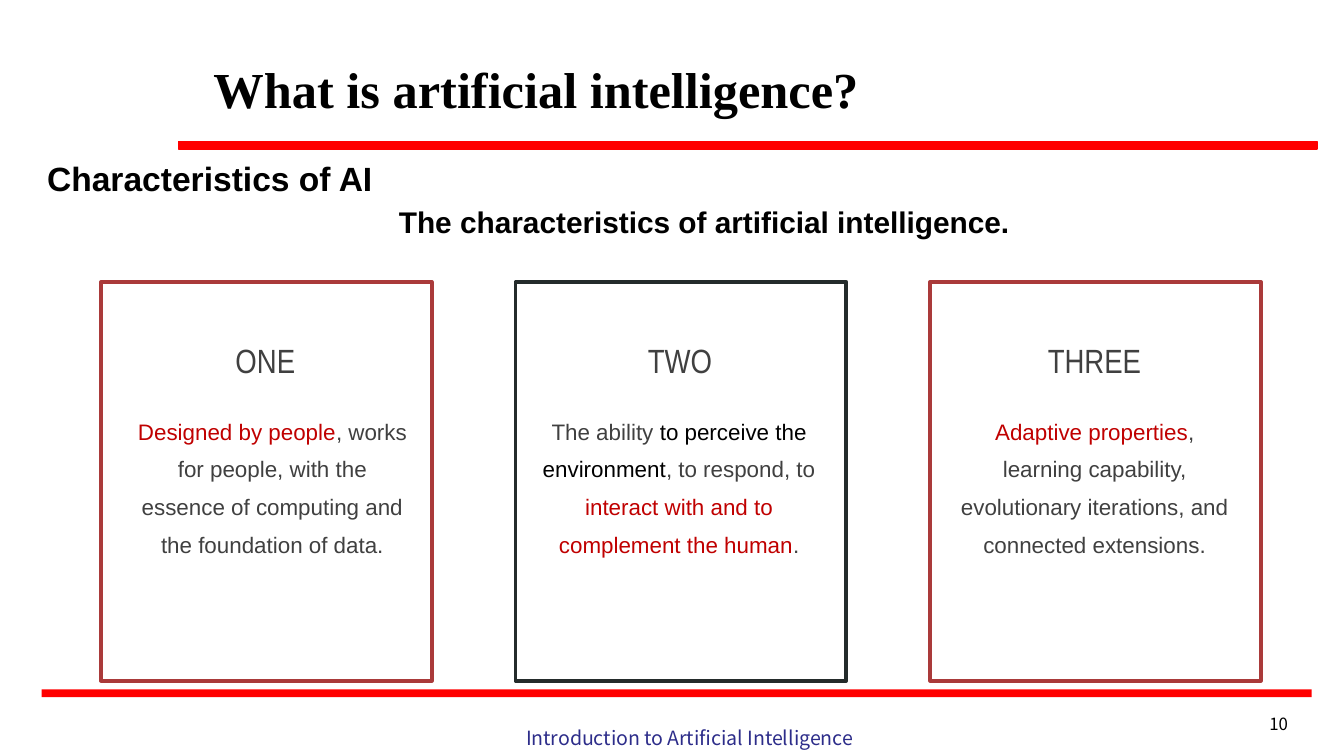
import pptx
import pptx.dml.color
import pptx.enum.shapes
import pptx.enum.text
import pptx.util

Cm = pptx.util.Cm
Align = pptx.enum.text.PP_ALIGN

RED, CRIMSON, BRICK = "FF0000", "C00000", "AA3A3A"
BLACK, CHARCOAL, GREY, NAVY, WHITE = "000000", "242B2B", "404040", "2D2D8A", "FFFFFF"

# Border colour, heading, body shift from card edge, coloured body parts
CARDS = [
    (BRICK, "ONE", 0.41, [
        ("Designed by people", CRIMSON),
        (", works for people, with the essence of computing and "
         "the foundation of data.", GREY)]),
    (CHARCOAL, "TWO", 0.26, [
        ("The ability ", GREY),
        ("to perceive the environment", BLACK),
        (", to respond, to ", GREY),
        ("interact with and to complement the human", CRIMSON),
        (".", GREY)]),
    (BRICK, "THREE", 0.28, [
        ("Adaptive properties", CRIMSON),
        (", learning capability, evolutionary iterations, and "
         "connected extensions.", GREY)]),
]


def color(value):
    return pptx.dml.color.RGBColor.from_string(value)


def place(shape, left, top, width, height):
    shape.left, shape.top = Cm(left), Cm(top)
    shape.width, shape.height = Cm(width), Cm(height)


def style(paragraph, font_name, size, align, bold=False):
    paragraph.alignment = align
    paragraph.font.name = font_name
    paragraph.font.size = pptx.util.Pt(size)
    paragraph.font.bold = bold


def add_rectangle(shapes, box, fill, line=None, line_width=0.75):
    shape = shapes.add_shape(pptx.enum.shapes.MSO_SHAPE.RECTANGLE,
                             *(Cm(length) for length in box))
    shape.shadow.inherit = False
    shape.fill.solid()
    shape.fill.fore_color.rgb = color(fill)
    if line:
        shape.line.color.rgb = color(line)
        shape.line.width = pptx.util.Pt(line_width)
    else:
        shape.line.fill.background()


def add_text(shapes, box, parts, font_name, size, align=Align.LEFT,
             bold=False, line_spacing=None):
    """Add a one-paragraph text box from (text, colour) parts."""
    frame = shapes.add_textbox(*(Cm(length) for length in box)).text_frame
    frame.word_wrap = True
    paragraph = frame.paragraphs[0]
    style(paragraph, font_name, size, align, bold)
    if line_spacing:
        paragraph.line_spacing = line_spacing
    for text, text_color in parts:
        run = paragraph.add_run()
        run.text = text
        run.font.color.rgb = color(text_color)


def fill_title(slide, left, top, width, height):
    title = slide.shapes.title
    place(title, left, top, width, height)
    frame = title.text_frame
    frame.text = "What is artificial intelligence?"
    frame.auto_size = pptx.enum.text.MSO_AUTO_SIZE.NONE
    frame.vertical_anchor = pptx.enum.text.MSO_ANCHOR.MIDDLE
    paragraph = frame.paragraphs[0]
    style(paragraph, "Times New Roman", 27, Align.LEFT, bold=True)
    paragraph.font.color.rgb = color(BLACK)


def add_headings(slide, left, top):
    add_text(slide.shapes, (left, top, 7.06, 1.02),
             [("Characteristics of AI", BLACK)], "Arial", 18, bold=True)
    add_text(slide.shapes, (left + 6.65, top + 0.86, 15.8, 0.94),
             [("The characteristics of artificial intelligence.", BLACK)],
             "Arial", 16, bold=True)


def add_card(slide, left, top, width, height, card):
    border, heading, body_shift, body = card
    shapes = slide.shapes.add_group_shape().shapes
    add_rectangle(shapes, (left, top, width, height), WHITE, border, 2)
    add_text(shapes, (left + 0.92, top + 0.97, width - 1.88, 1.02),
             [(heading, GREY)], "Arial Narrow", 18, Align.CENTER)
    add_text(shapes, (left + body_shift, top + 2.24, 5.66, 3.12),
             body, "Arial", 12, Align.CENTER, line_spacing=1.4)


def add_card_row(slide, left, top, width, height):
    card_width = 6.25
    pitch = (width - card_width) / (len(CARDS) - 1)
    for index, card in enumerate(CARDS):
        add_card(slide, left + index * pitch, top, card_width, height, card)


def add_footer(slide, left, top, width):
    add_rectangle(slide.shapes, (left, top, width, 0.15), RED)
    add_text(slide.shapes, (left + 8.18, top + 0.56, 8.13, 0.99),
             [("Introduction to Artificial Intelligence", NAVY)],
             "Noto Sans CJK SC", 10.5, Align.CENTER)
    add_text(slide.shapes, (left + width - 3, top + 0.33, 2.8, 0.46),
             [("10", BLACK)], "Noto Sans CJK SC", 9, Align.RIGHT)


def main():
    presentation = pptx.Presentation()
    presentation.slide_width = Cm(25.4)
    presentation.slide_height = Cm(14.29)
    title_only = presentation.slide_layouts[5]
    slide = presentation.slides.add_slide(title_only)
    fill_title(slide, 3.78, 0.48, 21.16, 2.39)
    add_rectangle(slide.shapes, (3.38, 2.67, 21.51, 0.15), RED, RED)
    add_headings(slide, 0.64, 2.87)
    add_card_row(slide, 1.91, 5.33, 21.92, 7.54)
    add_footer(slide, 0.79, 13.03, 24)
    presentation.save("out.pptx")


if __name__ == "__main__":
    main()
